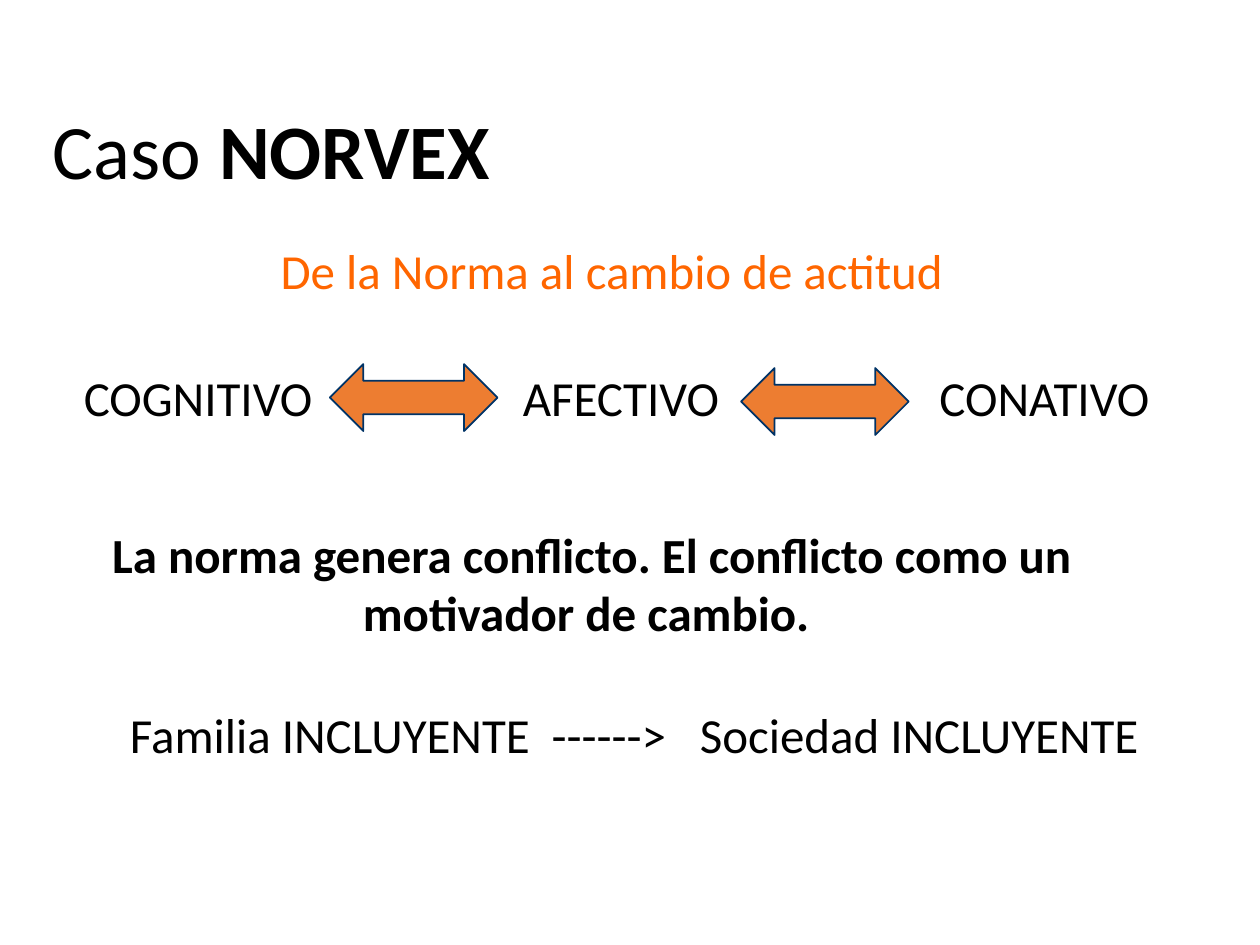
"""Build a slide on moving from the norm to a change of attitude."""
from lxml.etree import SubElement
from pptx import Presentation
from pptx.dml.color import RGBColor
from pptx.enum.shapes import MSO_SHAPE as Shape
from pptx.enum.text import MSO_ANCHOR as Anchor, MSO_AUTO_SIZE as AutoSize, PP_ALIGN as Align
from pptx.oxml.ns import qn
from pptx.util import Cm, Pt

BLACK = RGBColor(0x00, 0x00, 0x00)
ORANGE_TEXT = RGBColor(0xFF, 0x66, 0x00)
ORANGE_FILL = RGBColor(0xED, 0x7D, 0x31)
NAVY = RGBColor(0x00, 0x33, 0x66)
FONT = "Calibri"


def style(paragraph, size, color, bold=False):
    font = paragraph.font
    font.name, font.size, font.bold = FONT, Pt(size), bold
    font.color.rgb = color


def add_line(text, left, top, width, height, color=BLACK, bold=False, indent=0.25, tabs=()):
    box = slide.shapes.add_textbox(Cm(left), Cm(top), Cm(width), Cm(height))
    frame = box.text_frame
    frame.word_wrap = True
    frame.auto_size = AutoSize.SHAPE_TO_FIT_TEXT
    frame.margin_left = Cm(indent)
    paragraph = frame.paragraphs[0]
    paragraph.add_run().text = text
    paragraph.alignment = Align.LEFT if tabs else Align.CENTER
    if tabs:
        properties = paragraph._p.get_or_add_pPr()
        stops = SubElement(properties, qn("a:tabLst"))
        for position in tabs:
            SubElement(stops, qn("a:tab"), pos=str(Cm(position)), algn="l")
    style(paragraph, 28, color, bold)


prs = Presentation()
prs.slide_width, prs.slide_height = Cm(25.4), Cm(19.05)
slide = prs.slides.add_slide(prs.slide_layouts[5])

title = slide.shapes.title
title.left, title.top, title.width, title.height = Cm(0.81), Cm(1.27), Cm(21.89), Cm(3.68)
title.text_frame.vertical_anchor = Anchor.MIDDLE
heading = title.text_frame.paragraphs[0]
heading.alignment = Align.LEFT
heading.line_spacing = 0.9
style(heading, 44, BLACK)
heading.add_run().text = "Caso "
case_name = heading.add_run()
case_name.text = "NORVEX"
case_name.font.bold = True

add_line("De la Norma al cambio de actitud", 0.81, 4.72, 23.04, 1.45, color=ORANGE_TEXT)
add_line("COGNITIVO\tAFECTIVO\tCONATIVO", 0.99, 7.29, 22.86, 1.45,
         indent=0.7, tabs=(8.85, 17.25))
add_line("La norma genera conflicto. El conflicto como un motivador de cambio. ",
         1.75, 10.44, 20.35, 2.64, bold=True)
add_line("Familia INCLUYENTE\t------>\tSociedad INCLUYENTE", 2.18, 14.07, 21.18, 1.45,
         indent=0.44, tabs=(8.5, 11.49))

for left, top in ((6.65, 7.34), (14.94, 7.42)):
    link = slide.shapes.add_shape(Shape.LEFT_RIGHT_ARROW, Cm(left), Cm(top), Cm(3.38), Cm(1.35))
    link.shadow.inherit = False
    link.fill.solid()
    link.fill.fore_color.rgb = ORANGE_FILL
    link.line.color.rgb = NAVY
    link.line.width = Pt(1)

prs.save("out.pptx")
